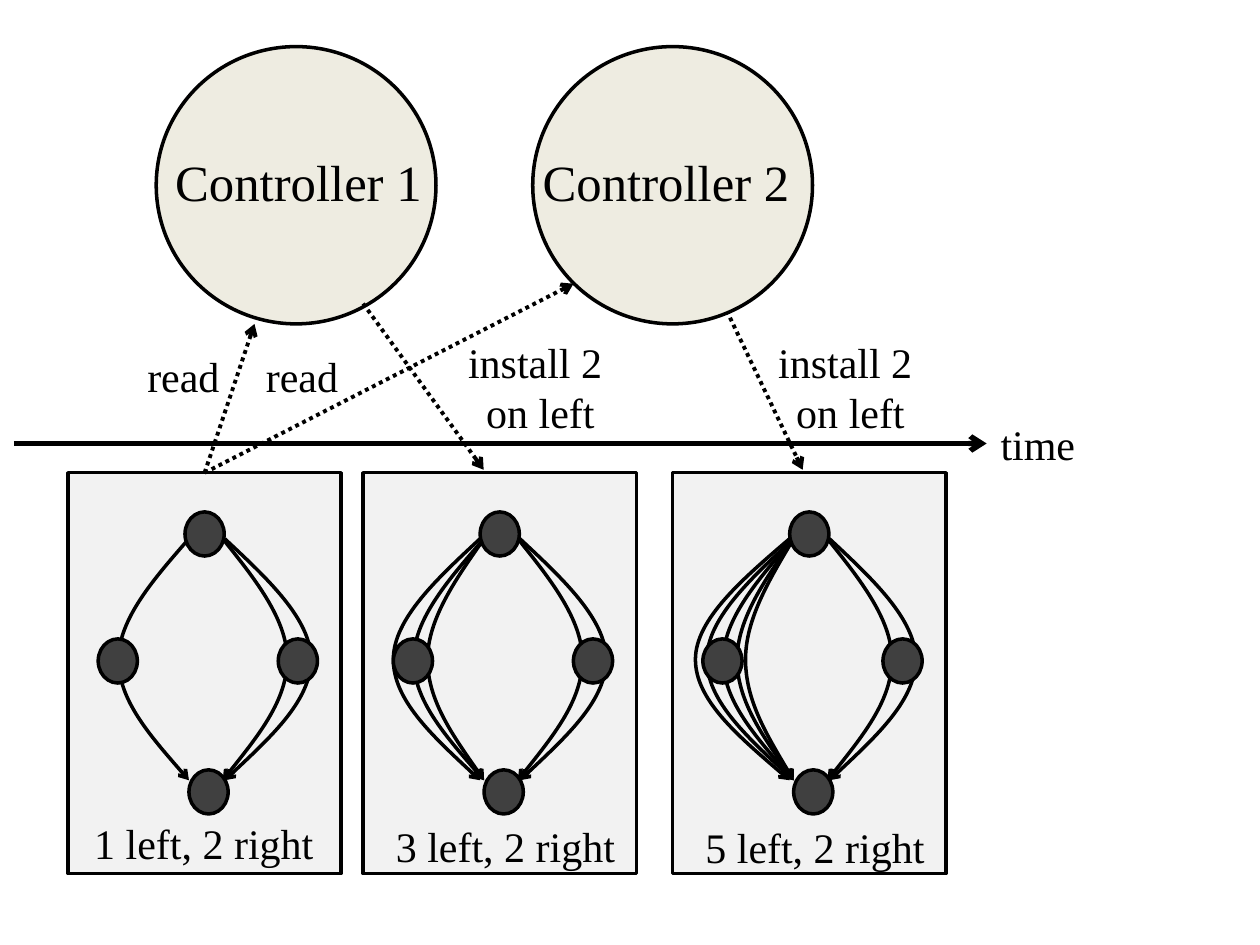
from lxml.etree import SubElement
from pptx import Presentation
from pptx.dml.color import RGBColor
from pptx.enum.dml import MSO_LINE
from pptx.enum.shapes import MSO_CONNECTOR, MSO_SHAPE
from pptx.enum.text import MSO_AUTO_SIZE, PP_ALIGN
from pptx.oxml.ns import qn
from pptx.util import Cm, Pt

BLACK = RGBColor(0x00, 0x00, 0x00)
CREAM = RGBColor(0xEE, 0xEC, 0xE1)
PALE_GREY = RGBColor(0xF2, 0xF2, 0xF2)
DARK_GREY = RGBColor(0x40, 0x40, 0x40)
FONT = "Times New Roman"

STRAND_TOP, STRAND_BOTTOM = 1.33, 6.2
RIGHT_STRANDS = [(3.16, 4.9), (3.12, 4.42)]
NODES = [(2.36, 0.79), (2.44, 5.99), (0.61, 3.35), (4.24, 3.35)]
PANEL_TOP, PANEL_WIDTH, PANEL_HEIGHT = 9.53, 5.51, 8.08
PANELS = [
    (1.37, "1 left, 2 right", (0.28, 6.83), [(2.44, 1.02)]),
    (7.32, "3 left, 2 right", (0.41, 6.88),
     [(2.44, 1.02), (2.44, 1.3), (2.36, 0.61)]),
    (13.56, "5 left, 2 right", (0.41, 6.91),
     [(2.44, 1.02), (2.44, 1.3), (2.44, 0.69), (2.36, 0.46), (2.44, 1.47)]),
]


def add_arrowhead(line_shape):
    SubElement(line_shape.element.spPr.get_or_add_ln(), qn("a:tailEnd"), type="arrow")


def add_outlined(slide, preset, left, top, width, height, fill):
    outlined = slide.shapes.add_shape(preset, Cm(left), Cm(top), Cm(width), Cm(height))
    outlined.shadow.inherit = False
    outlined.fill.solid()
    outlined.fill.fore_color.rgb = fill
    outlined.line.color.rgb = BLACK
    outlined.line.width = Pt(2)
    return outlined


def add_label(slide, text, left, top, width, height=1.27, size=24, align=PP_ALIGN.LEFT):
    label = slide.shapes.add_textbox(Cm(left), Cm(top), Cm(width), Cm(height))
    frame = label.text_frame
    frame.word_wrap = False
    frame.auto_size = MSO_AUTO_SIZE.SHAPE_TO_FIT_TEXT
    frame.text = text
    for paragraph in frame.paragraphs:
        paragraph.alignment = align
        for run in paragraph.runs:
            run.font.name = FONT
            run.font.size = Pt(size)
            run.font.color.rgb = BLACK


def add_arrow(slide, start, end, width, dash=None):
    arrow = slide.shapes.add_connector(
        MSO_CONNECTOR.STRAIGHT, *(Cm(value) for value in (*start, *end)))
    arrow.line.color.rgb = BLACK
    arrow.line.width = Pt(width)
    if dash is not None:
        arrow.line.dash_style = dash
    add_arrowhead(arrow)
    SubElement(arrow.element.spPr, qn("a:effectLst"))
    return arrow


def add_strand(slide, left, top, end_x, bulge_x):
    step = (STRAND_BOTTOM - STRAND_TOP) / 6
    half_x = (end_x + bulge_x) / 2
    columns = [end_x, half_x, bulge_x, bulge_x, bulge_x, half_x, end_x]
    points = [(Cm(left + x), Cm(top + STRAND_TOP + i * step))
              for i, x in enumerate(columns)]
    builder = slide.shapes.build_freeform(*points[0])
    builder.add_line_segments(points[1:], close=False)
    strand = builder.convert_to_shape()
    outline = next(strand.element.iter(qn("a:path")))
    segments = outline.findall(qn("a:lnTo"))
    for first in (0, 3):
        curve = SubElement(outline, qn("a:cubicBezTo"))
        for segment in segments[first:first + 3]:
            curve.append(segment[0])
            outline.remove(segment)
    strand.shadow.inherit = False
    strand.fill.background()
    strand.line.color.rgb = BLACK
    strand.line.width = Pt(2)
    add_arrowhead(strand)


def add_controller(slide, left, top, name, name_shift):
    add_outlined(slide, MSO_SHAPE.OVAL, left, top, 5.64, 5.59, CREAM)
    add_label(slide, name, left + name_shift, top + 1.98, 5.54, 1.5, size=29)


def add_network(slide, left, top, caption, caption_offset, left_strands):
    panel = add_outlined(slide, MSO_SHAPE.RECTANGLE, left, top,
                         PANEL_WIDTH, PANEL_HEIGHT, PALE_GREY)
    for end_x, bulge_x in left_strands + RIGHT_STRANDS:
        add_strand(slide, left, top, end_x, bulge_x)
    for x, y in NODES:
        add_outlined(slide, MSO_SHAPE.OVAL, left + x, top + y, 0.79, 0.89, DARK_GREY)
    x, y = caption_offset
    add_label(slide, caption, left + x, top + y, 4.98)
    return panel


def add_time_axis(slide, left, top, length):
    add_arrow(slide, (left, top), (left + length, top), 3)
    add_label(slide, "time", left + length + 0.03, top - 0.63, 2.03)


def add_messages(slide, first_panel):
    for end, label_left in [((5.13, 6.53), 2.72), ((11.56, 5.72), 5.11)]:
        read = add_arrow(slide, (4.13, PANEL_TOP), end, 2.25, MSO_LINE.ROUND_DOT)
        read.begin_connect(first_panel, 0)
        add_label(slide, "read", label_left, 6.95, 1.98)
    for start_x, end_x, label_left in [(7.32, 9.75, 9.17), (14.58, 16.18, 15.42)]:
        add_arrow(slide, (start_x, 6.12), (end_x, 9.47), 2.25, MSO_LINE.ROUND_DOT)
        add_label(slide, "install 2 \non left", label_left, 6.65, 3.45, 2.31,
                  align=PP_ALIGN.CENTER)


def main():
    deck = Presentation()
    deck.slide_width, deck.slide_height = Cm(25.4), Cm(19.05)
    slide = deck.slides.add_slide(deck.slide_layouts[6])
    add_controller(slide, 3.15, 0.94, "Controller 1", 0.13)
    add_time_axis(slide, 0.28, 8.94, 19.61)
    panels = [add_network(slide, left, PANEL_TOP, *details) for left, *details in PANELS]
    add_messages(slide, panels[0])
    add_controller(slide, 10.74, 0.94, "Controller 2", -0.05)
    deck.save("out.pptx")


if __name__ == "__main__":
    main()
